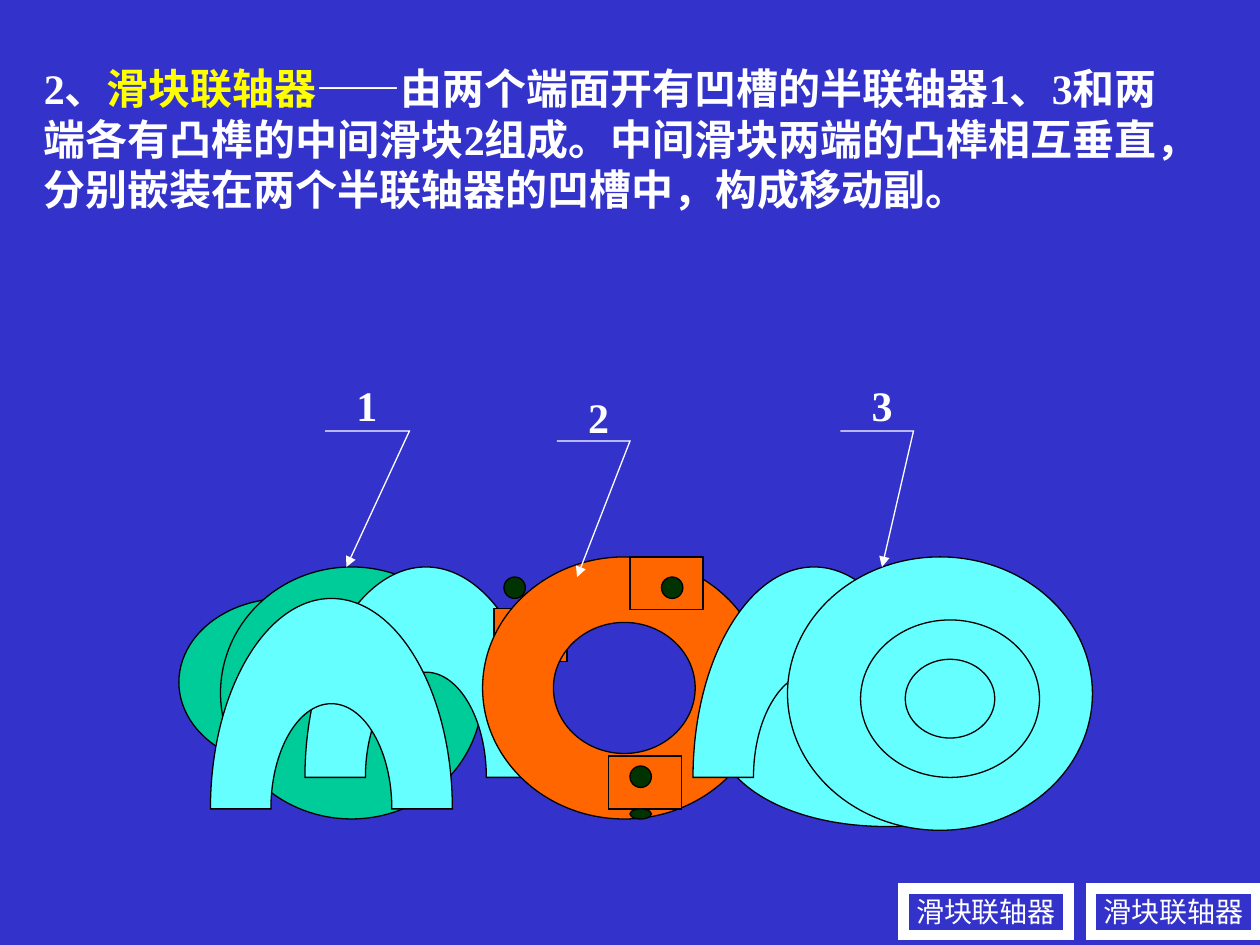
"""Build the slide on the sliding-block coupling."""
from typing import NamedTuple

from lxml import etree
from pptx import Presentation
from pptx.dml.color import RGBColor
from pptx.enum.shapes import MSO_SHAPE
from pptx.enum.text import MSO_ANCHOR, MSO_AUTO_SIZE, PP_ALIGN
from pptx.oxml.ns import qn
from pptx.util import Inches, Pt

OVAL, RECT = MSO_SHAPE.OVAL, MSO_SHAPE.RECTANGLE
LEFT, CENTER = PP_ALIGN.LEFT, PP_ALIGN.CENTER
TOP = MSO_ANCHOR.TOP
GROW = MSO_AUTO_SIZE.SHAPE_TO_FIT_TEXT
FONT = "Times New Roman"
BLUE, WHITE, BLACK, YELLOW = "3333CC", "FFFFFF", "000000", "FFFF00"
GREEN, CYAN, ORANGE, DARK = "00CC99", "66FFFF", "FF6600", "003300"
KAPPA = 0.55
EAST, NORTH, WEST, SOUTH = (1, 0), (0, -1), (-1, 0), (0, 1)
Point = tuple[float, float]
Contour = list[list[Point]]


class Box(NamedTuple):
    x: float
    y: float
    w: float
    h: float


class Part(NamedTuple):
    kind: object
    box: Box
    color: str
    rotation: float = 0


class Run(NamedTuple):
    text: str
    color: str = WHITE


class Callout(NamedTuple):
    number: str
    label: Box
    points: list[Point]


PARTS = [
    Part(OVAL, Box(1.42, 4.75, 1.67, 1.33), GREEN),
    Part(OVAL, Box(1.75, 4.5, 2.08, 2), GREEN),
    Part("arch", Box(2.42, 4.5, 1.92, 1.67), CYAN),
    Part("arch", Box(1.67, 4.75, 1.92, 1.67), CYAN),
    Part(RECT, Box(3.92, 4.83, 0.58, 0.42), ORANGE),
    Part("ring", Box(3.83, 4.42, 2.25, 2.08), ORANGE),
    Part(RECT, Box(5, 4.42, 0.58, 0.42), ORANGE),
    Part(RECT, Box(4.83, 6, 0.58, 0.42), ORANGE),
    Part(OVAL, Box(5.25, 4.58, 0.17, 0.17), DARK),
    Part(OVAL, Box(5, 6.08, 0.17, 0.17), DARK),
    Part(OVAL, Box(4, 4.58, 0.17, 0.17), DARK),
    Part(OVAL, Box(5, 6.42, 0.17, 0.08), DARK),
    Part("arch", Box(5.54, 4.87, 1.92, 1.67), CYAN, 261.2),
    Part("arch", Box(5.5, 4.5, 1.92, 1.67), CYAN),
    Part(OVAL, Box(6.25, 4.42, 2.42, 2.17), CYAN),
    Part("ring", Box(6.83, 4.92, 1.42, 1.25), CYAN),
]
CALLOUTS = [
    Callout("1", Box(2.73, 2.96, 0.36, 0.5), [(2.58, 3.42), (3.25, 3.42), (2.75, 4.5)]),
    Callout("2", Box(4.57, 3.06, 0.36, 0.5), [(4.42, 3.5), (5, 3.5), (4.58, 4.58)]),
    Callout("3", Box(6.82, 2.96, 0.36, 0.5), [(6.67, 3.42), (7.25, 3.42), (7, 4.5)]),
]
BUTTONS = [Box(8.66, 7.05, 1.31, 0.37), Box(7.17, 7.05, 1.31, 0.37)]
INTRO = [
    Run("2、"),
    Run("滑块联轴器", YELLOW),
    Run("——由两个端面开有凹槽的半联轴器1、3和两端各有凸榫的中间滑块2组成。"
        "中间滑块两端的凸榫相互垂直，分别嵌装在两个半联轴器的凹槽中，构成移动副。"),
]


def rgb(color: str) -> RGBColor:
    """Turn a hex string into a colour."""
    return RGBColor.from_string(color)


def paint(sp, fill: str | None, line: str, width: float = 0.75) -> None:
    """Set the fill and sharp-cornered outline of a shape and drop its shadow."""
    sp.shadow.inherit = False
    if fill:
        sp.fill.solid()
        sp.fill.fore_color.rgb = rgb(fill)
    else:
        sp.fill.background()
    sp.line.color.rgb = rgb(line)
    sp.line.width = Pt(width)
    etree.SubElement(sp.line._get_or_add_ln(), qn("a:miter"), lim="800000")


def arc(cx: float, cy: float, rx: float, ry: float, turns: list[Point]) -> Contour:
    """Return a start point and one curve per quarter turn of an ellipse."""
    segments = [[turns[0]]]
    for (ax, ay), (bx, by) in zip(turns, turns[1:]):
        segments.append([(ax + KAPPA * bx, ay + KAPPA * by),
                         (bx + KAPPA * ax, by + KAPPA * ay), (bx, by)])
    return [[(cx + rx * x, cy + ry * y) for x, y in seg] for seg in segments]


def outline(s, contours: list[Contour], close: bool = True):
    """Draw a freeform whose three-point segments are curves."""
    scaled = [[[(Inches(x), Inches(y)) for x, y in seg] for seg in c] for c in contours]
    builder = s.shapes.build_freeform(*scaled[0][0][0])
    for i, (start, *segments) in enumerate(scaled):
        if i:
            builder.move_to(*start[0])
        builder.add_line_segments([pt for seg in segments for pt in seg], close=close)
    sp = builder.convert_to_shape()
    lines = iter(list(sp._element.iter(qn("a:lnTo"))))
    for contour in contours:
        for segment in contour[1:]:
            first, *rest = [next(lines) for _ in segment]
            if rest:
                curve = etree.SubElement(first.getparent(), qn("a:cubicBezTo"))
                first.addprevious(curve)
                for line in [first, *rest]:
                    curve.append(line[0])
                    line.getparent().remove(line)
    return sp


def add_arch(s, box: Box):
    """Draw a half ring standing on its two feet."""
    cx, cy, rx = box.x + box.w / 2, box.y + box.h, box.w / 2
    outer = arc(cx, cy, rx, box.h, [EAST, NORTH, WEST])
    inner = arc(cx, cy, rx / 2, box.h / 2, [WEST, NORTH, EAST])
    return outline(s, [outer + inner])


def add_ring(s, box: Box):
    """Draw an ellipse with a hole of half its size."""
    cx, cy, rx, ry = box.x + box.w / 2, box.y + box.h / 2, box.w / 2, box.h / 2
    turns = [WEST, NORTH, EAST, SOUTH, WEST]
    return outline(s, [arc(cx, cy, rx, ry, turns),
                       arc(cx, cy, rx / 2, ry / 2, turns[::-1])])


def add_part(s, part: Part) -> None:
    """Draw one part of the coupling."""
    if part.kind == "arch":
        sp = add_arch(s, part.box)
    elif part.kind == "ring":
        sp = add_ring(s, part.box)
    else:
        sp = s.shapes.add_shape(part.kind, *map(Inches, part.box))
    sp.rotation = part.rotation
    paint(sp, part.color, BLACK)


def write(sp, runs: list[Run], size: float, bold: bool, align, wrap: bool) -> None:
    """Write one paragraph of coloured runs into a shape."""
    tf = sp.text_frame
    tf.word_wrap = wrap
    tf.auto_size = GROW
    tf.vertical_anchor = TOP
    p = tf.paragraphs[0]
    p.alignment = align
    for run in runs:
        r = p.add_run()
        r.text = run.text
        r.font.name = FONT
        r.font.size = Pt(size)
        r.font.bold = bold
        r.font.color.rgb = rgb(run.color)


def add_text(s, box: Box, runs: list[Run], align, wrap: bool) -> None:
    """Add a bold text box."""
    sp = s.shapes.add_textbox(*map(Inches, box))
    write(sp, runs, 24, True, align, wrap)


def add_leader(s, points: list[Point]) -> None:
    """Draw a bent leader line with an arrowhead at its end."""
    sp = outline(s, [[[pt] for pt in points]], close=False)
    paint(sp, None, WHITE)
    etree.SubElement(sp.line._get_or_add_ln(), qn("a:tailEnd"), type="triangle")


def add_button(s, box: Box) -> None:
    """Draw a framed button with its caption."""
    sp = s.shapes.add_shape(RECT, *map(Inches, box))
    paint(sp, None, WHITE, 6)
    write(sp, [Run("滑块联轴器")], 16, False, CENTER, False)


def main() -> None:
    """Build and save the slide."""
    prs = Presentation()
    prs.slide_width, prs.slide_height = Inches(10), Inches(7.5)
    s = prs.slides.add_slide(prs.slide_layouts[6])
    s.background.fill.solid()
    s.background.fill.fore_color.rgb = rgb(BLUE)
    add_text(s, Box(0.25, 0.45, 9.17, 1.3), INTRO, LEFT, True)
    for part in PARTS:
        add_part(s, part)
    for callout in CALLOUTS:
        add_text(s, callout.label, [Run(callout.number)], CENTER, False)
        add_leader(s, callout.points)
    for box in BUTTONS:
        add_button(s, box)
    prs.save("out.pptx")


if __name__ == "__main__":
    main()
